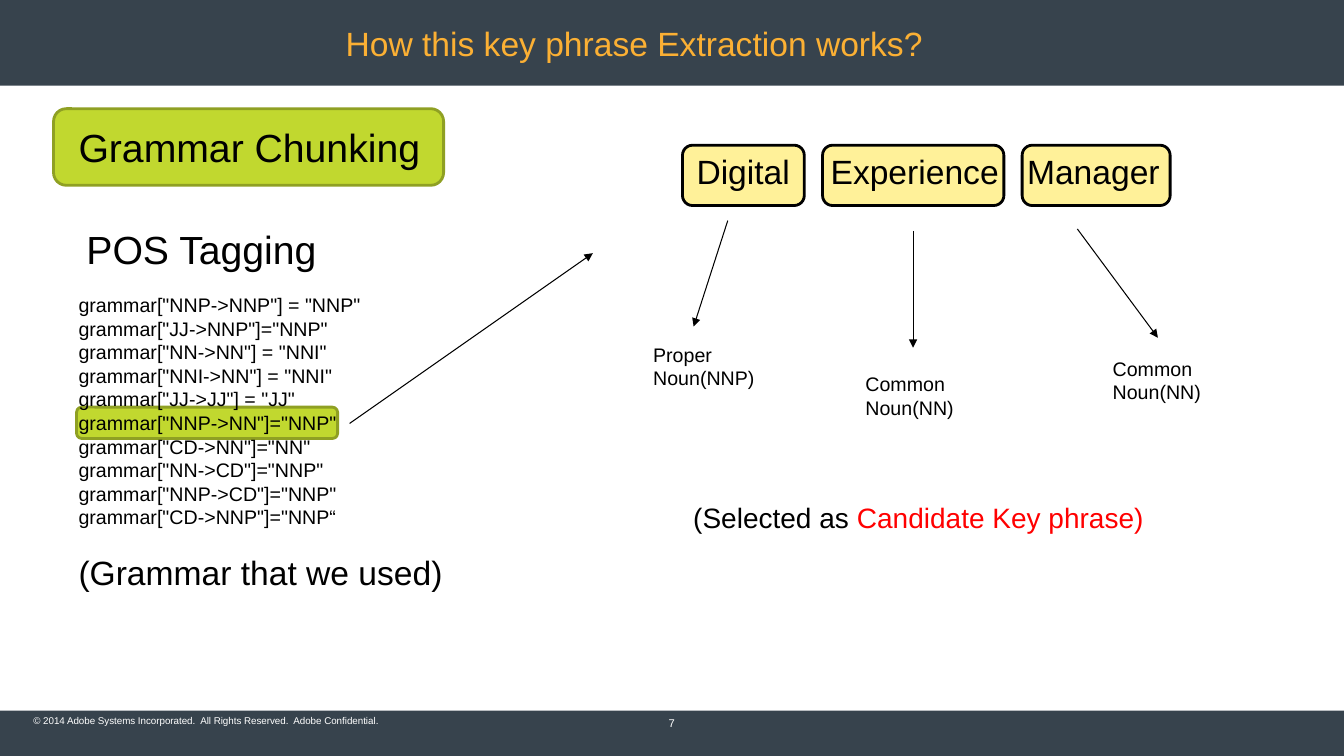
from lxml.etree import SubElement
from pptx import Presentation
from pptx.dml.color import RGBColor
from pptx.enum.shapes import MSO_CONNECTOR, MSO_SHAPE
from pptx.enum.text import MSO_ANCHOR, PP_ALIGN
from pptx.oxml.ns import qn
from pptx.util import Cm, Pt

BLACK = RGBColor(0x00, 0x00, 0x00)
WHITE = RGBColor(0xFF, 0xFF, 0xFF)
RED = RGBColor(0xFF, 0x00, 0x00)
SLATE = RGBColor(0x37, 0x43, 0x4D)
ORANGE = RGBColor(0xFB, 0xB0, 0x34)
YELLOW = RGBColor(0xFF, 0xF1, 0x99)
LIME = RGBColor(0xC1, 0xD8, 0x2F)
OLIVE = RGBColor(0x8F, 0xA0, 0x23)

SLIDE_WIDTH, SLIDE_HEIGHT = 33.87, 19.05
TEXT_INSETS = (0.25, 0.13, 0.25, 0.13)

GRAMMAR_RULES = [
    'grammar["NNP->NNP"] = "NNP"',
    'grammar["JJ->NNP"]="NNP"',
    'grammar["NN->NN"] = "NNI"',
    'grammar["NNI->NN"] = "NNI"',
    'grammar["JJ->JJ"] = "JJ"',
    'grammar["NNP->NN"]="NNP"',
    'grammar["CD->NN"]="NN"',
    'grammar["NN->CD"]="NNP"',
    'grammar["NNP->CD"]="NNP"',
    'grammar["CD->NNP"]="NNP“',
]
# word, left, width, left inset
PHRASE_WORDS = [
    ("Digital", 17.2, 3.07, 0.28),
    ("Experience", 20.73, 4.57, 0.13),
    ("Manager", 25.76, 3.73, 0.05),
]
# tag, left, top, width
WORD_TAGS = [
    ("Proper Noun(NNP)", 16.21, 8.51, 3.15),
    ("Common Noun(NN)", 21.56, 9.25, 4.19),
    ("Common Noun(NN)", 27.79, 8.86, 4.19),
]
# start x, start y, end x, end y
ARROWS = [
    (8.81, 10.67, 14.94, 6.38),
    (18.34, 5.56, 17.48, 8.23),
    (23.01, 5.82, 23.01, 8.76),
    (27.15, 5.77, 29.18, 8.51),
]


class SlideBuilder:
    def __init__(self, slide, font_name="Arial"):
        self.slide = slide
        self.font_name = font_name

    def style(self, item, size, color):
        """Set the font of a paragraph or run."""
        item.font.name = self.font_name
        item.font.size = Pt(size)
        item.font.color.rgb = color

    def fill_text(self, shape, text, size, color, insets, anchor, align):
        frame = shape.text_frame
        frame.margin_left, frame.margin_top, frame.margin_right, frame.margin_bottom = map(Cm, insets)
        frame.vertical_anchor = anchor
        frame.text = text
        for paragraph in frame.paragraphs:
            paragraph.alignment = align
            for run in paragraph.runs:
                self.style(run, size, color)
        return frame

    def box(self, left, top, width, height, fill, line=None, kind=MSO_SHAPE.ROUNDED_RECTANGLE):
        shape = self.slide.shapes.add_shape(kind, Cm(left), Cm(top), Cm(width), Cm(height))
        shape.shadow.inherit = False
        shape.fill.solid()
        shape.fill.fore_color.rgb = fill
        if line is None:
            shape.line.fill.background()
        else:
            shape.line.color.rgb = line
            shape.line.width = Pt(2)
        return shape

    def band(self, top, height):
        return self.box(0, top, SLIDE_WIDTH, height, SLATE, kind=MSO_SHAPE.RECTANGLE)

    def word_box(self, word, left, width, inset):
        shape = self.box(left, 3.66, width, 1.52, YELLOW, BLACK)
        frame = self.fill_text(shape, word, 24, BLACK, (inset, 0, 0, 0.2),
                               MSO_ANCHOR.MIDDLE, PP_ALIGN.LEFT)
        frame.word_wrap = False

    def text(self, text, left, top, width, height, size, color=BLACK,
             insets=TEXT_INSETS, anchor=MSO_ANCHOR.TOP, align=PP_ALIGN.LEFT):
        shape = self.slide.shapes.add_textbox(Cm(left), Cm(top), Cm(width), Cm(height))
        shape.text_frame.word_wrap = True
        return self.fill_text(shape, text, size, color, insets, anchor, align)

    def arrow(self, *ends):
        connector = self.slide.shapes.add_connector(MSO_CONNECTOR.STRAIGHT, *map(Cm, ends))
        connector.line.color.rgb = BLACK
        connector.line.width = Pt(0.75)
        SubElement(connector.line._get_or_add_ln(), qn("a:tailEnd"), type="triangle")
        SubElement(connector._element.spPr, qn("a:effectLst"))


def main():
    presentation = Presentation()
    presentation.slide_width = Cm(SLIDE_WIDTH)
    presentation.slide_height = Cm(SLIDE_HEIGHT)
    slide = presentation.slides.add_slide(presentation.slide_layouts[6])
    builder = SlideBuilder(slide)

    builder.band(17.91, 1.14)
    builder.band(0, 2.16)
    builder.text("© 2014 Adobe Systems Incorporated.  All Rights Reserved.  Adobe Confidential.",
                 0.84, 18.01, 14.4, 0.3, 7, WHITE, (0, 0, 0, 0), MSO_ANCHOR.BOTTOM)
    builder.text("7", 15.52, 17.98, 2.82, 0.46, 8, WHITE, (0.3, 0.15, 0.3, 0.15),
                 MSO_ANCHOR.MIDDLE, PP_ALIGN.CENTER)
    builder.text("How this key phrase Extraction works?", 0.84, 0.51, 32.16, 1.14, 24, ORANGE,
                 (7.87, 0.25, 0.25, 0.25), MSO_ANCHOR.MIDDLE)

    builder.box(1.93, 10.26, 6.58, 0.79, LIME, OLIVE)
    builder.box(1.35, 2.74, 9.83, 1.93, LIME, OLIVE)
    builder.text("Grammar Chunking", 1.73, 2.97, 9.42, 1.45, 28)
    builder.text("POS Tagging", 1.93, 5.56, 9.25, 2.64, 28)

    grammar = builder.text("\n".join(GRAMMAR_RULES), 1.73, 7.26, 10.11, 7.87, 14)
    caption = grammar.add_paragraph()
    caption.text = "(Grammar that we used)"
    caption.space_before = Pt(17)
    builder.style(caption.runs[0], 24, BLACK)

    for word in PHRASE_WORDS:
        builder.word_box(*word)
    for ends in ARROWS:
        builder.arrow(*ends)
    for tag, left, top, width in WORD_TAGS:
        builder.text(tag, left, top, width, 1.45, 14)

    selection = builder.text("(Selected as ", 17.22, 12.47, 13.84, 1.12, 20)
    key_phrase = selection.paragraphs[0].add_run()
    key_phrase.text = "Candidate Key phrase)"
    builder.style(key_phrase, 20, RED)

    presentation.save("out.pptx")


if __name__ == "__main__":
    main()
